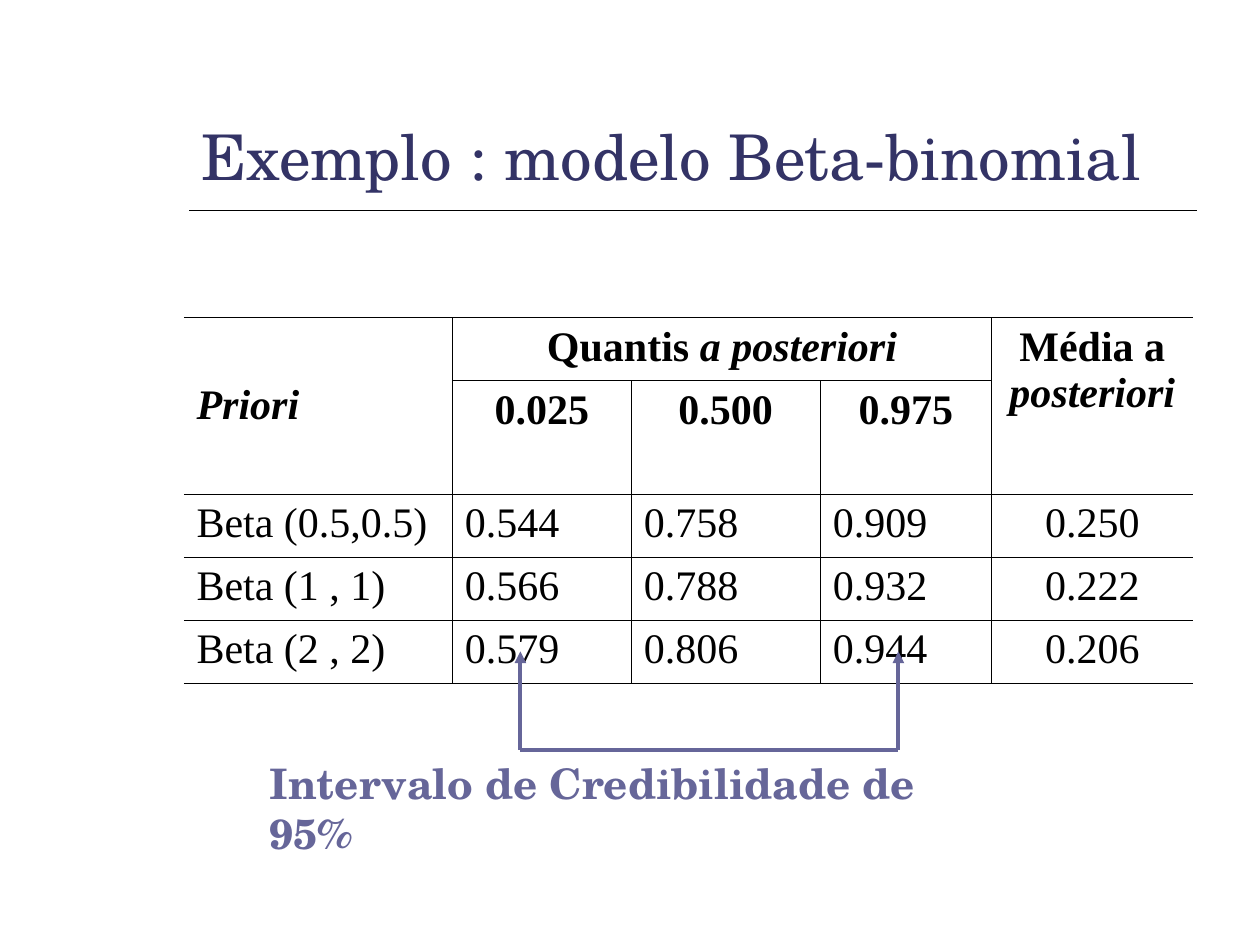
import lxml.etree
import pptx
import pptx.dml.color
import pptx.enum.shapes
import pptx.enum.text
import pptx.oxml.ns
import pptx.util

COLORS = {"title": "333366", "accent": "666699", "ink": "000000"}
SERIF = "Times New Roman"
SCHOOL = "TeX Gyre Schola"
ALIGN = pptx.enum.text.PP_ALIGN
ANCHOR = pptx.enum.text.MSO_ANCHOR
qn = pptx.oxml.ns.qn

COLUMNS, ROWS = 100, 75
LEVELS = ["0.025", "0.500", "0.975"]
RESULTS = [
    ["Beta (0.5,0.5)", "0.544", "0.758", "0.909", "0.250"],
    ["Beta (1 , 1)", "0.566", "0.788", "0.932", "0.222"],
    ["Beta (2 , 2)", "0.579", "0.806", "0.944", "0.206"],
]
COL_WIDTHS = [21.3, 14.2, 15, 13.6, 16]
ROW_HEIGHTS = [5, 9, 5, 5, 5]


def grid(*cells):
    """Turn counts of grid columns or rows (0.1 inch square) into lengths."""
    return [pptx.util.Inches(n / 10) for n in cells]


def rgb(name):
    return pptx.dml.color.RGBColor.from_string(COLORS[name])


def write(tf, runs, color="ink", align=ALIGN.LEFT, **base):
    """Fill one paragraph with (text, extra font format) runs."""
    p = tf.paragraphs[0]
    p.alignment = align
    for text, extra in runs:
        r = p.add_run()
        r.text = text
        r.font.color.rgb = rgb(color)
        for key, value in {**base, **extra}.items():
            setattr(r.font, key, value)


def add_text(slide, box, text, color, size, anchor=ANCHOR.TOP, bold=False):
    tf = slide.shapes.add_textbox(*grid(*box)).text_frame
    tf.word_wrap = True
    tf.vertical_anchor = anchor
    write(tf, [(text, {})], color, name=SCHOOL, size=pptx.util.Pt(size), bold=bold)


def add_line(slide, start, end, color, width, arrow=False):
    sp = slide.shapes.add_connector(
        pptx.enum.shapes.MSO_CONNECTOR.STRAIGHT, *grid(*start, *end))
    sp.line.color.rgb = rgb(color)
    sp.line.width = pptx.util.Pt(width)
    if arrow:
        ln = sp.line._get_or_add_ln()
        lxml.etree.SubElement(ln, qn("a:headEnd"), type="triangle")
    lxml.etree.SubElement(sp._element.spPr, qn("a:effectLst"))


def set_borders(cell, edges):
    """Rule the given edges (of L, R, T, B) and clear the others."""
    tc_pr = cell._tc.get_or_add_tcPr()
    for edge in "LRTB":
        ln = lxml.etree.SubElement(
            tc_pr, qn(f"a:ln{edge}"), w=str(pptx.util.Pt(0.45)))
        if edge in edges:
            fill = lxml.etree.SubElement(ln, qn("a:solidFill"))
            lxml.etree.SubElement(fill, qn("a:srgbClr"), val=COLORS["ink"])
        else:
            lxml.etree.SubElement(ln, qn("a:noFill"))


def add_results_table(slide):
    size = (sum(COL_WIDTHS), sum(ROW_HEIGHTS))
    table = slide.shapes.add_table(
        len(ROW_HEIGHTS), len(COL_WIDTHS), *grid(14.6, 25.2, *size)).table
    table.first_row = table.horz_banding = False
    for column, width in zip(table.columns, grid(*COL_WIDTHS)):
        column.width = width
    for row, height in zip(table.rows, grid(*ROW_HEIGHTS)):
        row.height = height

    last = len(COL_WIDTHS) - 1
    for row in table.rows:
        for c, cell in enumerate(row.cells):
            set_borders(cell, "TB" + "L" * (c > 0) + "R" * (c < last))
            cell.fill.background()
    for first, end in [((0, 0), (1, 0)), ((0, 1), (0, 3)), ((0, last), (1, last))]:
        table.cell(*first).merge(table.cell(*end))

    font = {"name": SERIF, "size": pptx.util.Pt(24)}
    italic = {"italic": True}
    heads = {
        (0, 0): [("Priori", italic)],
        (0, 1): [("Quantis ", {}), ("a posteriori", italic)],
        (0, last): [("Média a ", {}), ("posteriori", italic)],
    }
    heads.update({(1, c): [(level, {})] for c, level in enumerate(LEVELS, 1)})
    for (r, c), runs in heads.items():
        align = ALIGN.CENTER if c else ALIGN.LEFT
        write(table.cell(r, c).text_frame, runs, align=align, bold=True, **font)
    table.cell(0, 0).vertical_anchor = ANCHOR.MIDDLE

    for r, values in enumerate(RESULTS, 2):
        for c, value in enumerate(values):
            align = ALIGN.CENTER if c == last else ALIGN.LEFT
            write(table.cell(r, c).text_frame, [(value, {})], align=align,
                  bold=False, **font)


def add_interval_bracket(slide, left, right, top, bottom):
    for x in (left, right):
        add_line(slide, (x, top), (x, bottom), "accent", 2.25, arrow=True)
    add_line(slide, (left, bottom), (right, bottom), "accent", 2.25)


def main():
    prs = pptx.Presentation()
    prs.slide_width, prs.slide_height = grid(COLUMNS, ROWS)
    slide = prs.slides.add_slide(prs.slide_layouts[6])
    add_line(slide, (15, 16.7), (95, 16.7), "ink", 1)
    add_text(slide, (15, 3.3, 80, 12.5), "Exemplo : modelo Beta-binomial",
             "title", 36, anchor=ANCHOR.BOTTOM)
    add_results_table(slide)
    add_interval_bracket(slide, 41.3, 71.3, 51.7, 59.5)
    add_text(slide, (20.4, 59.6, 59.2, 5), "Intervalo de Credibilidade de 95%",
             "accent", 24, bold=True)
    prs.save("out.pptx")


if __name__ == "__main__":
    main()
